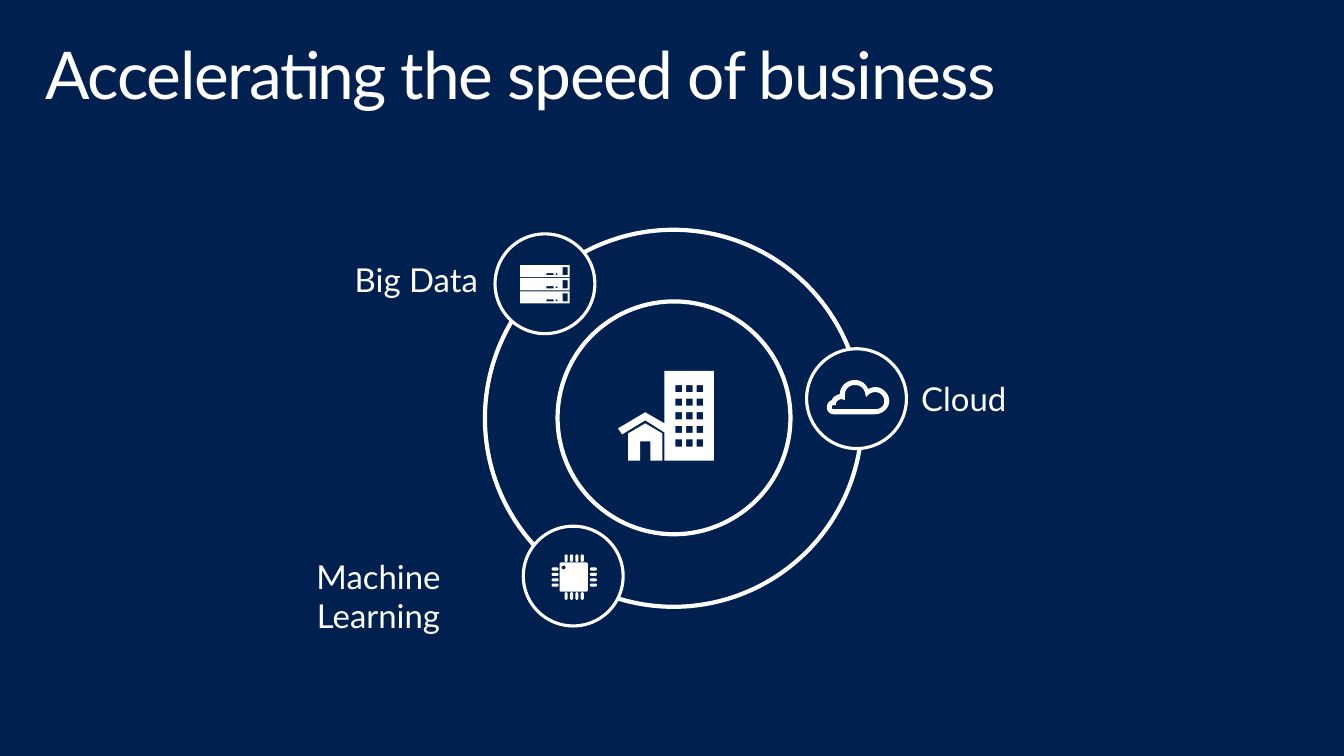
import math
from dataclasses import dataclass

from pptx import Presentation
from pptx import util as u
from pptx.dml.color import RGBColor
from pptx.enum import shapes, text

EMU_PER_PX = 9144  # 100 px to the inch
NAVY, WHITE, FONT = "002050", "FFFFFF", "Lato"

Contour = list[tuple[float, float]]


@dataclass
class Box:
    left: int
    top: int
    width: int
    height: int


@dataclass
class Label:
    words: str
    box: Box


@dataclass
class Badge:
    circle: Box
    line_width: float
    icon: list[Contour]


def px(length: float) -> int:
    return round(length * EMU_PER_PX)


def colour(value: str) -> RGBColor:
    return RGBColor.from_string(value)


# Outlines: each icon is a list of contours, inner ones cutting holes
def rectangle(left: float, top: float, width: float, height: float, cut: float = 0) -> Contour:
    right, bottom = left + width, top + height
    if not cut:
        return [(left, top), (right, top), (right, bottom), (left, bottom)]
    return [(left + cut, top), (right - cut, top), (right, top + cut), (right, bottom - cut),
            (right - cut, bottom), (left + cut, bottom), (left, bottom - cut), (left, top + cut)]


def dot(x: float, y: float, radius: float, steps: int = 16) -> Contour:
    angles = [2 * math.pi * step / steps for step in range(steps)]
    return [(x + radius * math.cos(a), y + radius * math.sin(a)) for a in angles]


def curve(start: tuple[float, float], *segments: tuple[float, ...], steps: int = 10) -> Contour:
    """Two numbers make a straight segment, six make a cubic Bezier."""
    points = [start]
    for segment in segments:
        if len(segment) == 2:
            points.append((segment[0], segment[1]))
            continue
        x0, y0 = points[-1]
        x1, y1, x2, y2, x3, y3 = segment
        for step in range(1, steps + 1):
            t = step / steps
            a, b, c, d = (1 - t) ** 3, 3 * t * (1 - t) ** 2, 3 * t * t * (1 - t), t ** 3
            points.append((a * x0 + b * x1 + c * x2 + d * x3, a * y0 + b * y1 + c * y2 + d * y3))
    return points


def buildings() -> list[Contour]:
    tower_and_roof = [(659, 368), (659, 420), (640, 409), (613, 425), (617, 431), (640, 417),
                      (659, 429), (659, 457), (708, 457), (708, 368)]
    house = [(640, 420), (657, 430), (657, 457), (645, 457), (645, 438),
             (635, 438), (635, 457), (623, 457), (623, 430)]
    windows = [rectangle(670 + 10.5 * column, 382 + 13.5 * row, 6.5, 7)
               for column in range(3) for row in range(5)]
    return [tower_and_roof, *windows, house]


def servers() -> list[Contour]:
    contours = []
    for top in range(263, 290, 13):
        contours += [rectangle(516, top, 49, 12), rectangle(542, top + 8, 7, 2),
                     dot(552, top + 9, 1), rectangle(558, top + 2, 5, 8)]
    return contours


def chip() -> list[Contour]:
    contours = [rectangle(555, 558, 28, 29, 1), dot(559, 563, 2)]
    for pin in range(4):
        offset = pin * 16 / 3
        contours += [rectangle(left, 563 + offset, 7, 3, 1) for left in (547, 585)]
        contours += [rectangle(560 + offset, top, 3, 7.5, 1) for top in (550, 587.5)]
    return contours


def cloud() -> list[Contour]:
    outside = curve((868, 411), (827, 411), (823, 411, 820, 408, 820, 404),
                    (820, 401, 822, 398, 825, 397), (826, 394, 829, 392, 833, 391),
                    (833, 383, 840, 377, 848, 377), (854, 377, 859, 381, 861, 386),
                    (863, 385, 866, 384, 868, 384), (875, 384, 882, 390, 882, 398),
                    (882, 405, 875, 411, 868, 411))
    inside = curve((827, 402), (825, 402, 825, 403, 825, 404), (825, 405, 825, 406, 827, 406),
                   (868, 406), (873, 406, 877, 403, 877, 398), (877, 393, 873, 389, 868, 389),
                   (866, 389, 863, 390, 862, 391), (859, 394), (858, 390),
                   (857, 385, 853, 382, 848, 382), (842, 382, 838, 386, 838, 392),
                   (838, 397), (835, 396), (832, 396, 830, 398, 829, 400), (829, 402))
    return [outside, inside]


# Drawing
def add_circle(parent, box: Box, line_width: float, fill: str | None = None):
    shape = parent.add_shape(shapes.MSO_SHAPE.OVAL, px(box.left), px(box.top),
                             px(box.width), px(box.height))
    shape.shadow.inherit = False
    if fill:
        shape.fill.solid()
        shape.fill.fore_color.rgb = colour(fill)
    else:
        shape.fill.background()
    shape.line.color.rgb = colour(WHITE)
    shape.line.width = u.Pt(line_width)


def add_icon(parent, contours: list[Contour]):
    outlines = [[(px(x), px(y)) for x, y in contour] for contour in contours]
    builder = parent.build_freeform(*outlines[0][0], scale=1.0)
    for index, outline in enumerate(outlines):
        if index:
            builder.move_to(*outline[0])
        builder.add_line_segments(outline[1:], close=True)
    shape = builder.convert_to_shape()
    shape.shadow.inherit = False
    shape.fill.solid()
    shape.fill.fore_color.rgb = colour(WHITE)
    shape.line.fill.background()


def add_badge(slide, badge: Badge):
    group = slide.shapes.add_group_shape()
    add_circle(group.shapes, badge.circle, badge.line_width, NAVY)
    add_icon(group.shapes, badge.icon)


def write(frame, words: str, size: float, align, side: int, end: int):
    frame.word_wrap = True
    frame.vertical_anchor = text.MSO_ANCHOR.TOP
    frame.margin_left = frame.margin_right = px(side)
    frame.margin_top = frame.margin_bottom = px(end)
    paragraph = frame.paragraphs[0]
    paragraph.alignment = align
    run = paragraph.add_run()
    run.text = words
    run.font.name = FONT
    run.font.size = u.Pt(size)
    run.font.color.rgb = colour(WHITE)
    return paragraph, run


def add_title(slide, words: str, box: Box):
    title = slide.shapes.title
    title.left, title.top = px(box.left), px(box.top)
    title.width, title.height = px(box.width), px(box.height)
    title.text_frame.auto_size = text.MSO_AUTO_SIZE.NONE
    paragraph, run = write(title.text_frame, words, 47, text.PP_ALIGN.LEFT, 16, 10)
    paragraph.line_spacing = 0.9
    run._r.get_or_add_rPr().set("spc", "-100")


def add_label(slide, label: Label):
    box = label.box
    shape = slide.shapes.add_textbox(px(box.left), px(box.top), px(box.width), px(box.height))
    shape.text_frame.auto_size = text.MSO_AUTO_SIZE.SHAPE_TO_FIT_TEXT
    write(shape.text_frame, label.words, 23.5, text.PP_ALIGN.CENTER, 20, 16)


LABELS = [
    Label("Machine Learning", Box(233, 536, 285, 71)),
    Label("Cloud", Box(888, 360, 136, 71)),
    Label("Big Data", Box(306, 242, 214, 71)),
]
RING = Box(481, 228, 374, 374)
BADGES = [
    Badge(Box(553, 299, 231, 231), 3, buildings()),
    Badge(Box(800, 346, 99, 99), 2.25, cloud()),
    Badge(Box(491, 232, 99, 99), 2.25, servers()),
    Badge(Box(519, 522, 99, 99), 2.25, chip()),
]


def main():
    presentation = Presentation()
    presentation.slide_width, presentation.slide_height = px(1333), px(750)
    slide = presentation.slides.add_slide(presentation.slide_layouts[5])
    slide.background.fill.solid()
    slide.background.fill.fore_color.rgb = colour(NAVY)

    add_title(slide, "Accelerating the speed of business", Box(29, 32, 1275, 98))
    for label in LABELS:
        add_label(slide, label)
    add_circle(slide.shapes, RING, 3)
    for badge in BADGES:
        add_badge(slide, badge)
    presentation.save("out.pptx")


if __name__ == "__main__":
    main()
